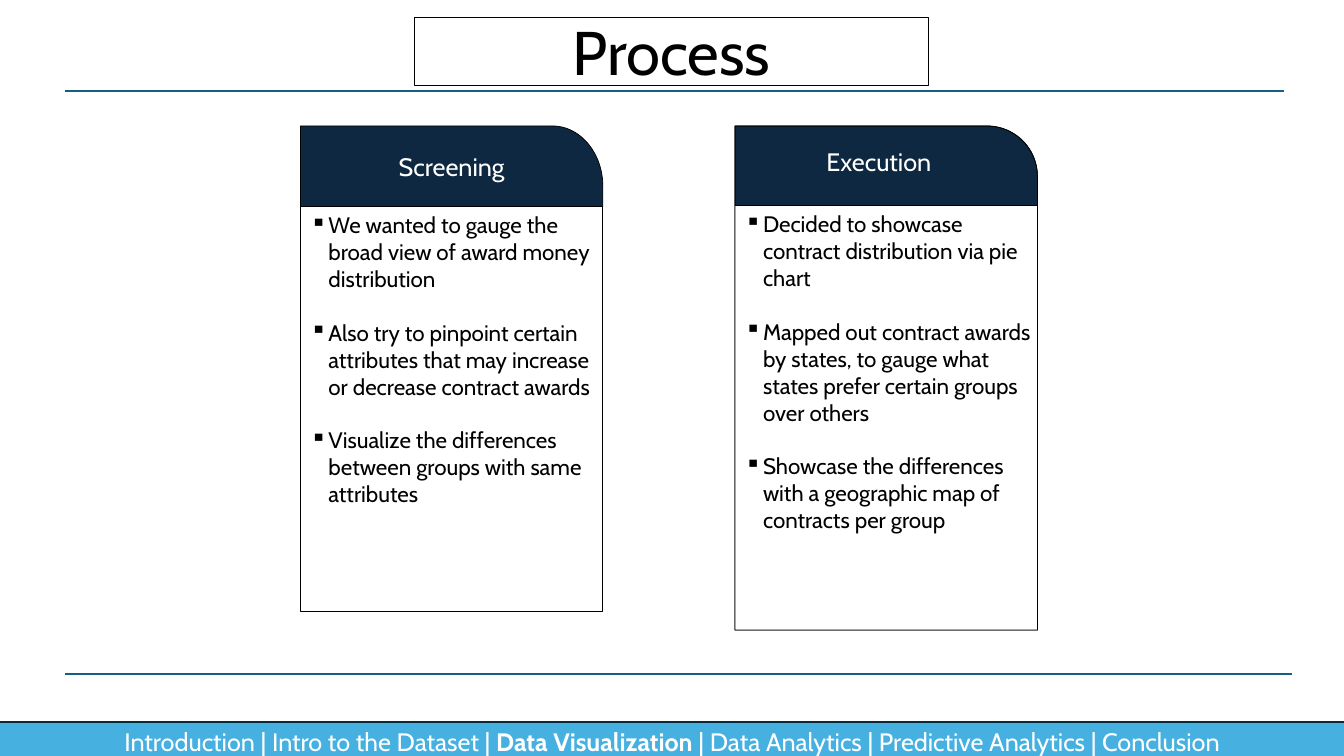
from math import cos, pi, sin

from lxml.etree import SubElement
from pptx import Presentation
from pptx.dml.color import RGBColor
from pptx.enum.shapes import MSO_CONNECTOR, MSO_SHAPE
from pptx.enum.text import MSO_ANCHOR, MSO_AUTO_SIZE, PP_ALIGN
from pptx.oxml.ns import qn
from pptx.util import Inches, Pt

FONT = "Cabin"
BLACK, WHITE, NAVY = "000000", "FFFFFF", "0E2841"
SKY, DARK_TEAL, TEAL = "46B1E1", "092A39", "156082"
CARD_TOP, CARD_WIDTH = 1.25, 3
SCREENING_LEFT, EXECUTION_LEFT = 2.98, 7.29
SECTIONS = ["Introduction", "Intro to the Dataset", "Data Visualization",
            "Data Analytics", "Predictive Analytics", "Conclusion"]
CURRENT_SECTION = "Data Visualization"
SCREENING_POINTS = [
    "We wanted to gauge the broad view of award money distribution",
    "Also try to pinpoint certain attributes that may increase or decrease contract awards",
    "Visualize the differences between groups with same attributes",
]
EXECUTION_POINTS = [
    "Decided to showcase contract distribution via pie chart",
    "Mapped out contract awards by states, to gauge what states prefer certain groups over others",
    "Showcase the differences with a geographic map of contracts per group",
]


def color(value):
    return RGBColor.from_string(value)


def style_shape(shape, fill=None, line=None, line_width=0.5):
    shape.shadow.inherit = False
    if fill:
        shape.fill.solid()
        shape.fill.fore_color.rgb = color(fill)
    else:
        shape.fill.background()
    if line:
        shape.line.color.rgb = color(line)
        shape.line.width = Pt(line_width)
    else:
        shape.line.fill.background()


def add_box(slide, kind, left, top, width, height, **style):
    shape = slide.shapes.add_shape(
        kind, Inches(left), Inches(top), Inches(width), Inches(height))
    style_shape(shape, **style)
    return shape


def add_rule(slide, left, right, y, line, line_width):
    connector = slide.shapes.add_connector(
        MSO_CONNECTOR.STRAIGHT, Inches(left), Inches(y), Inches(right), Inches(y))
    connector.line.color.rgb = color(line)
    connector.line.width = Pt(line_width)
    SubElement(connector._element.spPr, qn("a:effectLst"))


def format_paragraph(paragraph, size, font_color, alignment):
    paragraph.alignment = alignment
    paragraph.font.name = FONT
    paragraph.font.size = Pt(size)
    paragraph.font.color.rgb = color(font_color)


def add_heading(shape, text, anchor):
    frame = shape.text_frame
    frame.word_wrap = True
    frame.vertical_anchor = anchor
    frame.text = text
    format_paragraph(frame.paragraphs[0], 18, WHITE, PP_ALIGN.CENTER)


def add_bullets(shape, points):
    frame = shape.text_frame
    frame.word_wrap = True
    frame.vertical_anchor = MSO_ANCHOR.TOP
    frame.text = "\n".join(points)
    for index, paragraph in enumerate(frame.paragraphs):
        format_paragraph(paragraph, 16, BLACK, PP_ALIGN.LEFT)
        paragraph.space_before = Pt(19.2 if index else 0)
        properties = paragraph._p.get_or_add_pPr()
        properties.set("marL", str(Inches(0.18)))
        properties.set("indent", str(-Inches(0.18)))
        bullet = properties.makeelement(qn("a:buChar"), {"char": "▪"})
        properties.insert_element_before(bullet, "a:tabLst", "a:defRPr", "a:extLst")


def set_title(slide, text):
    title = slide.shapes.title
    title.left, title.top = Inches(4.11), Inches(0.17)
    title.width, title.height = Inches(5.1), Inches(0.68)
    title.line.color.rgb = color(BLACK)
    title.line.width = Pt(0.5)
    frame = title.text_frame
    frame.text = text
    frame.auto_size = MSO_AUTO_SIZE.NONE
    frame.vertical_anchor = MSO_ANCHOR.TOP
    format_paragraph(frame.paragraphs[0], 44, BLACK, PP_ALIGN.CENTER)
    frame.paragraphs[0].line_spacing = 0.9


def add_section_bar(slide):
    bar = add_box(slide, MSO_SHAPE.RECTANGLE, -0.09, 7.16, 13.57, 0.4,
                  fill=SKY, line=DARK_TEAL, line_width=1.5)
    bar.text_frame.vertical_anchor = MSO_ANCHOR.MIDDLE
    paragraph = bar.text_frame.paragraphs[0]
    format_paragraph(paragraph, 18, WHITE, PP_ALIGN.CENTER)
    before, after = " | ".join(SECTIONS).split(CURRENT_SECTION)
    for text in (before, CURRENT_SECTION, after + " "):
        run = paragraph.add_run()
        run.text = text
        run.font.bold = text == CURRENT_SECTION


def add_screening_card(slide):
    left, right, bottom = SCREENING_LEFT, SCREENING_LEFT + CARD_WIDTH, 2.05
    radius_x, radius_y, steps = 0.5, 0.6, 24
    angles = [pi / 2 * step / steps for step in range(steps + 1)]
    arc = [(right - radius_x + radius_x * sin(angle),
            CARD_TOP + radius_y - radius_y * cos(angle)) for angle in angles]
    outline = arc + [(right, bottom), (left, bottom)]
    builder = slide.shapes.build_freeform(Inches(left), Inches(CARD_TOP))
    builder.add_line_segments([(Inches(x), Inches(y)) for x, y in outline])
    header = builder.convert_to_shape()
    style_shape(header, fill=NAVY, line=BLACK)
    add_heading(header, "Screening", MSO_ANCHOR.MIDDLE)
    body = add_box(slide, MSO_SHAPE.RECTANGLE, left, bottom, CARD_WIDTH, 4.02,
                   fill=WHITE, line=BLACK)
    add_bullets(body, SCREENING_POINTS)


def add_execution_card(slide):
    left, divider, height = EXECUTION_LEFT, 2.04, 5
    card = add_box(slide, MSO_SHAPE.ROUND_1_RECTANGLE, left, CARD_TOP,
                   CARD_WIDTH, height, fill=NAVY, line=BLACK)
    card.text_frame.margin_top = Inches(0.2)
    add_heading(card, "Execution", MSO_ANCHOR.TOP)
    body = add_box(slide, MSO_SHAPE.RECTANGLE, left, divider, 3.06,
                   CARD_TOP + height - divider, fill=WHITE)
    add_bullets(body, EXECUTION_POINTS)
    add_box(slide, MSO_SHAPE.ROUND_1_RECTANGLE, left, CARD_TOP,
            CARD_WIDTH, height, line=BLACK)
    add_rule(slide, left, left + CARD_WIDTH, divider, BLACK, 0.5)


def main():
    presentation = Presentation()
    presentation.slide_width, presentation.slide_height = Inches(13.33), Inches(7.5)
    slide = presentation.slides.add_slide(presentation.slide_layouts[5])
    set_title(slide, "Process")
    add_section_bar(slide)
    add_rule(slide, 0.64, 12.73, 0.9, TEAL, 1.5)
    add_rule(slide, 0.64, 12.81, 6.69, TEAL, 1.5)
    add_screening_card(slide)
    add_execution_card(slide)
    presentation.save("out.pptx")


if __name__ == "__main__":
    main()
